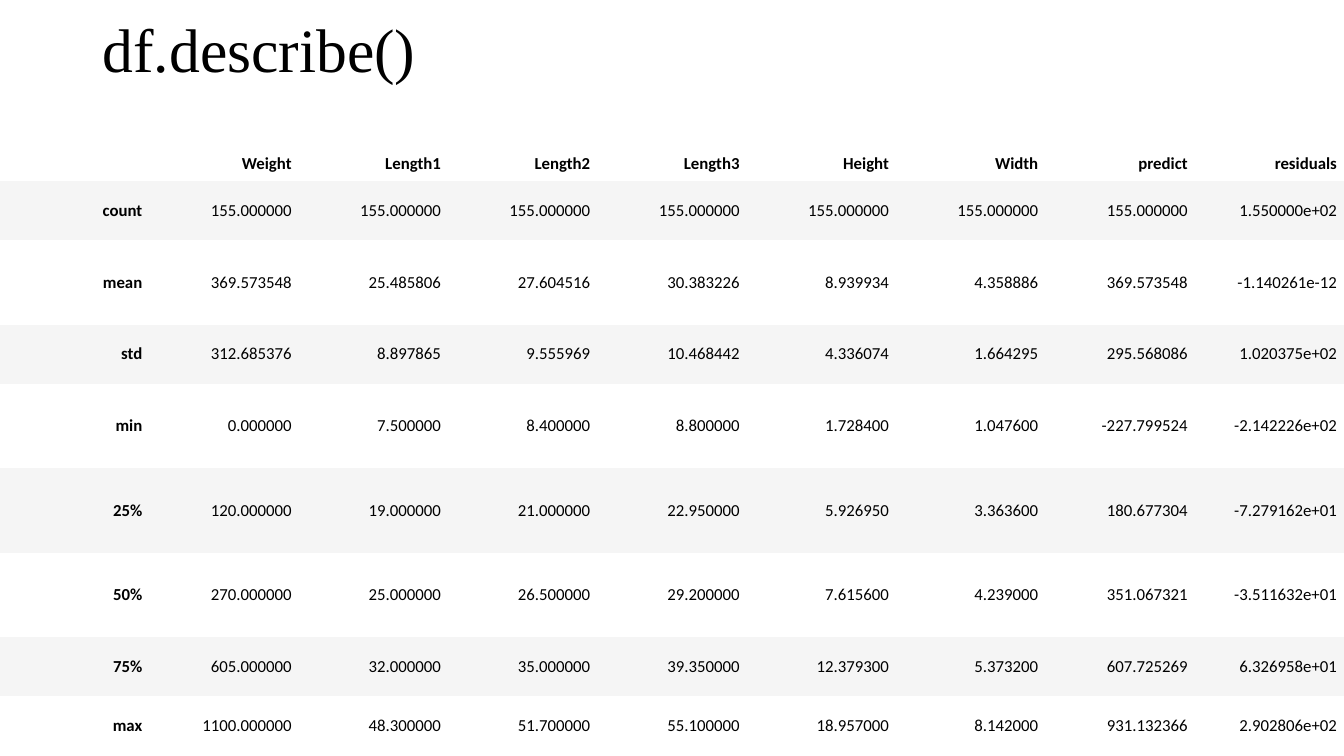
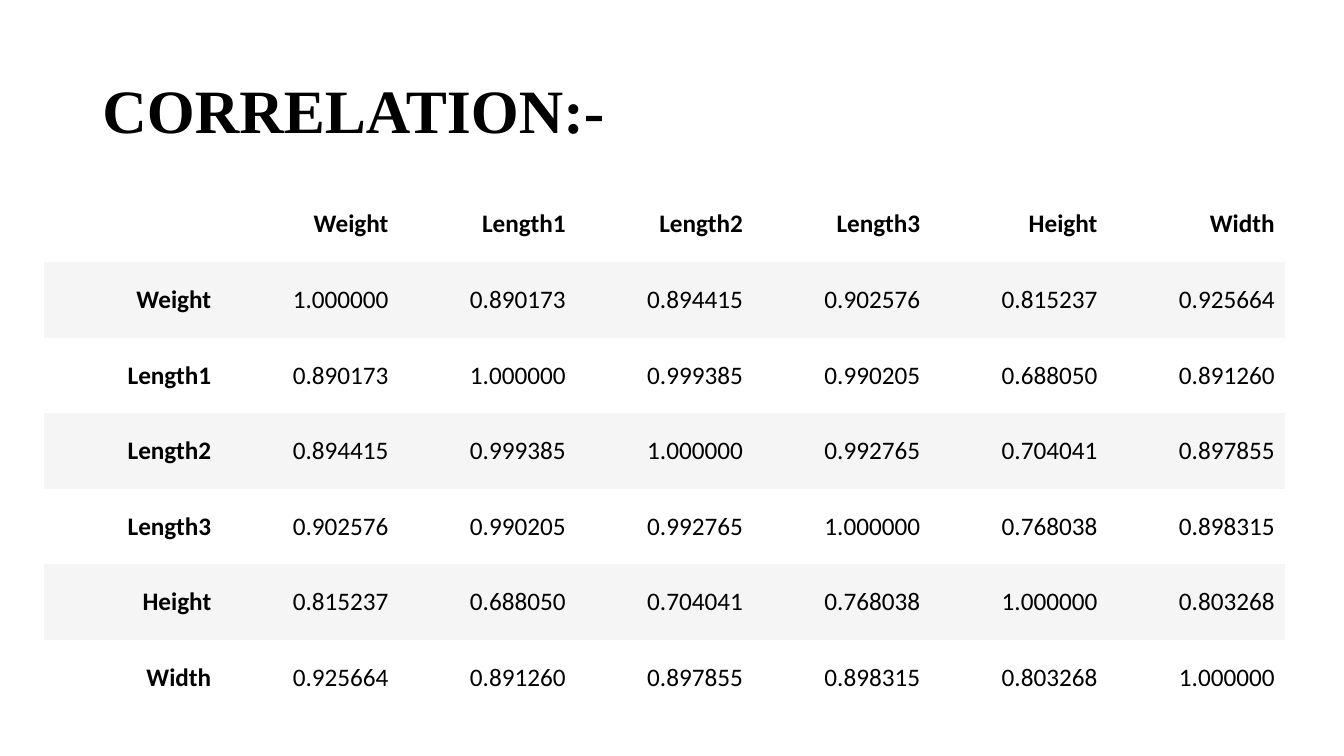
"""Two slides of data tables: summary statistics and correlations."""
import dataclasses

import lxml.etree
import pptx
import pptx.dml.color
import pptx.enum.text
import pptx.oxml.ns
import pptx.util


@dataclasses.dataclass(frozen=True)
class Theme:
    """Colours, fonts, type sizes and the grid that the slides share."""
    ink: str = "000000"
    paper: str = "FFFFFF"
    band: str = "F5F5F5"
    title_font: str = "Times New Roman"
    body_font: str = "Calibri"
    title_size: int = 44
    small: int = 12
    large: int = 18
    cols: int = 160
    rows: int = 90
    title_col: int = 11
    title_cols: int = 138
    plain_style: str = "{2D5ABB26-0587-4C30-8999-92F81FD0307C}"


class Deck:
    """Holds the theme, the presentation and the current slide."""

    def __init__(self, theme):
        """Set up a wide presentation."""
        self.theme = theme
        self.prs = pptx.Presentation()
        self.prs.slide_width = pptx.util.Inches(13.33)
        self.prs.slide_height = pptx.util.Inches(7.5)
        self.s = None

    def x(self, cols):
        """Turn grid columns into a length."""
        return round(self.prs.slide_width * cols / self.theme.cols)

    def y(self, rows):
        """Turn grid rows into a length."""
        return round(self.prs.slide_height * rows / self.theme.rows)

    def run(self, p, text, font, size, bold):
        """Add one styled run to a paragraph."""
        r = p.add_run()
        r.text = text
        r.font.name = font
        r.font.size = pptx.util.Pt(size)
        r.font.bold = bold
        r.font.color.rgb = pptx.dml.color.RGBColor.from_string(self.theme.ink)

    def slide(self, title, top, height, bold=False):
        """Start a title-only slide with its title between two grid rows."""
        t = self.theme
        self.s = self.prs.slides.add_slide(self.prs.slide_layouts[5])
        sp = self.s.shapes.title
        sp.left, sp.top = self.x(t.title_col), self.y(top)
        sp.width, sp.height = self.x(t.title_cols), self.y(height)
        tf = sp.text_frame
        tf.word_wrap = True
        tf.auto_size = pptx.enum.text.MSO_AUTO_SIZE.NONE
        tf.vertical_anchor = pptx.enum.text.MSO_ANCHOR.MIDDLE
        p = tf.paragraphs[0]
        p.alignment = pptx.enum.text.PP_ALIGN.LEFT
        p.line_spacing = 0.9
        self.run(p, title, t.title_font, t.title_size, bold)

    def cell(self, cell, text, size, bold, fill, margins):
        """Fill one table cell with right-aligned text."""
        cell.fill.solid()
        cell.fill.fore_color.rgb = pptx.dml.color.RGBColor.from_string(fill)
        cell.vertical_anchor = pptx.enum.text.MSO_ANCHOR.MIDDLE
        across, down = (pptx.util.Inches(m) for m in margins)
        cell.margin_left = cell.margin_right = across
        cell.margin_top = cell.margin_bottom = down
        p = cell.text_frame.paragraphs[0]
        p.alignment = pptx.enum.text.PP_ALIGN.RIGHT
        if text:
            self.run(p, text, self.theme.body_font, size, bold)
        else:
            end = lxml.etree.SubElement(p._p, pptx.oxml.ns.qn("a:endParaRPr"))
            end.set("sz", str(size * 100))

    def table(self, data, left, top, width, heights, size, margins=(0.1, 0.05)):
        """Add a banded table with bold headings and equal columns."""
        t = self.theme
        n = len(data[0])
        frame = self.s.shapes.add_table(len(data), n, self.x(left), self.y(top),
                                        self.x(width), self.y(sum(heights)))
        table = frame.table
        table.first_row = table.horz_banding = False
        style = table._tbl.tblPr.find(pptx.oxml.ns.qn("a:tableStyleId"))
        style.text = t.plain_style
        for col in table.columns:
            col.width = self.x(width / n)
        for i, (row, height) in enumerate(zip(data, heights)):
            table.rows[i].height = self.y(height)
            fill = t.band if i % 2 else t.paper
            for j, text in enumerate(row):
                self.cell(table.cell(i, j), text, size, i == 0 or j == 0,
                          fill, margins)


MEASURES = ["Weight", "Length1", "Length2", "Length3", "Height", "Width"]

SUMMARY = {
    "count": [155, 155, 155, 155, 155, 155, 155, 155],
    "mean": [369.573548, 25.485806, 27.604516, 30.383226,
             8.939934, 4.358886, 369.573548, -1.140261e-12],
    "std": [312.685376, 8.897865, 9.555969, 10.468442,
            4.336074, 1.664295, 295.568086, 102.0375],
    "min": [0, 7.5, 8.4, 8.8, 1.7284, 1.0476, -227.799524, -214.2226],
    "25%": [120, 19, 21, 22.95, 5.92695, 3.3636, 180.677304, -72.79162],
    "50%": [270, 25, 26.5, 29.2, 7.6156, 4.239, 351.067321, -35.11632],
    "75%": [605, 32, 35, 39.35, 12.3793, 5.3732, 607.725269, 63.26958],
    "max": [1100, 48.3, 51.7, 55.1, 18.957, 8.142, 931.132366, 290.2806],
}

CORRELATIONS = [
    [1],
    [0.890173, 1],
    [0.894415, 0.999385, 1],
    [0.902576, 0.990205, 0.992765, 1],
    [0.815237, 0.688050, 0.704041, 0.768038, 1],
    [0.925664, 0.891260, 0.897855, 0.898315, 0.803268, 1],
]


def summary_rows():
    """Lay out the statistics, with residuals in scientific notation."""
    rows = [["", *MEASURES, "predict", "residuals"]]
    for name, (*values, residual) in SUMMARY.items():
        rows.append([name, *(f"{v:.6f}" for v in values), f"{residual:.6e}"])
    return rows


def correlation_rows():
    """Mirror the lower triangle into a full matrix with headings."""
    rows = [["", *MEASURES]]
    for i, name in enumerate(MEASURES):
        rows.append([name, *(f"{CORRELATIONS[max(i, j)][min(i, j)]:.6f}"
                             for j in range(len(MEASURES)))])
    return rows


def main():
    """Build and save both slides."""
    theme = Theme()
    deck = Deck(theme)

    deck.slide("df.describe()", 0, 12.5)
    low, high = 7.03, 10.07
    heights = [4.05, low, high, low, high, high, high, low, low]
    deck.table(summary_rows(), 0, 17.5, theme.cols, heights, theme.small,
               margins=(0.07, 0.03))

    deck.slide("CORRELATION:-", 4.8, 17.4, bold=True)
    matrix = correlation_rows()
    deck.table(matrix, 5.25, 22.2, 147.7, [9] * len(matrix), theme.large)

    deck.prs.save("out.pptx")


if __name__ == "__main__":
    main()
